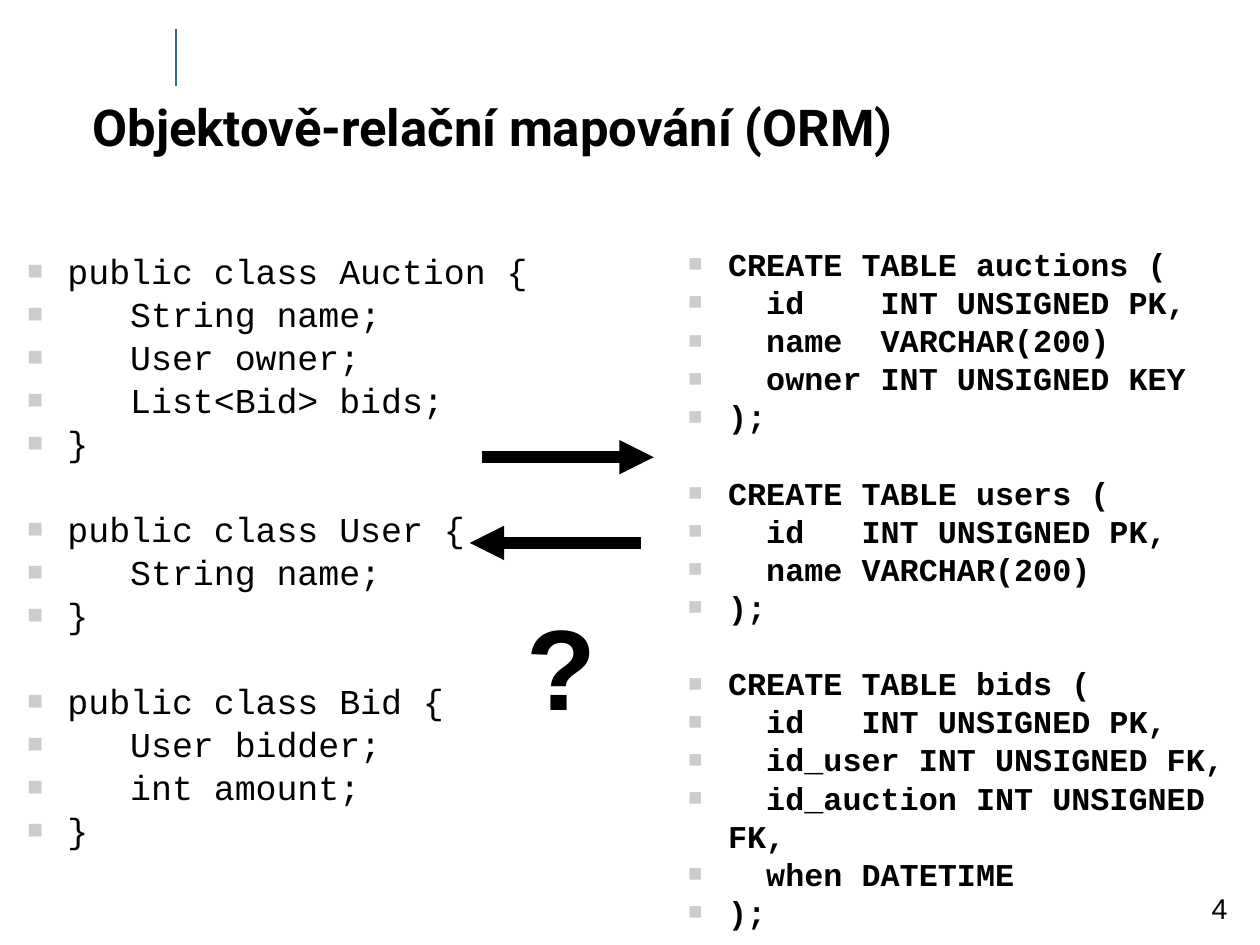
from lxml import etree
from pptx import Presentation
from pptx.dml.color import RGBColor
from pptx.enum.shapes import MSO_CONNECTOR
from pptx.enum.text import MSO_ANCHOR, MSO_AUTO_SIZE, PP_ALIGN
from pptx.oxml.ns import qn
from pptx.util import Cm, Inches, Pt

STRAIGHT = MSO_CONNECTOR.STRAIGHT
TOP, MIDDLE = MSO_ANCHOR.TOP, MSO_ANCHOR.MIDDLE
LEFT, CENTER = PP_ALIGN.LEFT, PP_ALIGN.CENTER
NO_AUTOFIT = MSO_AUTO_SIZE.NONE
COLORS = {"text": "000000", "bullet": "CCCCCC", "accent": "3465A4"}
CELL = Inches(0.25)  # side of one square of the slide grid
LINE_HEIGHT = 1.2

JAVA_CLASSES = [
    ["public class Auction {", "   String name;", "   User owner;",
     "   List<Bid> bids;", "}"],
    ["public class User {", "   String name;", "}"],
    ["public class Bid {", "   User bidder;", "   int amount;", "}"],
]
SQL_TABLES = [
    ["CREATE TABLE auctions (", "  id    INT UNSIGNED PK,",
     "  name  VARCHAR(200)", "  owner INT UNSIGNED KEY", ");"],
    ["CREATE TABLE users (", "  id   INT UNSIGNED PK,",
     "  name VARCHAR(200)", ");"],
    ["CREATE TABLE bids (", "  id   INT UNSIGNED PK,",
     "  id_user INT UNSIGNED FK,", "  id_auction INT UNSIGNED FK,",
     "  when DATETIME", ");"],
]


def grid(*cells):
    """Turn grid columns and rows into slide lengths."""
    return [round(cell * CELL) for cell in cells]


def write(box, groups, size, font="Arial", bold=False, align=LEFT, anchor=TOP,
          inset=(0, 0), wrap=True, bullets=False, before=0):
    """Fill a box with groups of lines, set one line height apart."""
    frame = box.text_frame
    frame.auto_size, frame.word_wrap = NO_AUTOFIT, wrap
    frame.vertical_anchor = anchor
    frame.margin_left = frame.margin_right = Inches(inset[0])
    frame.margin_top = frame.margin_bottom = Inches(inset[1])
    paragraph = None
    for group_index, group in enumerate(groups):
        for line_index, line in enumerate(group):
            paragraph = frame.add_paragraph() if paragraph else frame.paragraphs[0]
            paragraph.alignment = align
            run = paragraph.add_run()
            run.text = line
            run.font.name, run.font.size, run.font.bold = font, Pt(size), bold
            run.font.color.rgb = RGBColor.from_string(COLORS["text"])
            if not bullets:
                continue
            paragraph.line_spacing = Pt(size * LINE_HEIGHT)
            starts_group = group_index > 0 and line_index == 0
            gap = size * LINE_HEIGHT + before if starts_group else 0
            paragraph.space_before = Pt(before + gap)
            properties = paragraph._p.get_or_add_pPr()
            properties.set("marL", str(Inches(0.37)))
            properties.set("indent", str(Inches(-0.35)))
            bullet_color = etree.SubElement(properties, qn("a:buClr"))
            etree.SubElement(bullet_color, qn("a:srgbClr"), val=COLORS["bullet"])
            etree.SubElement(properties, qn("a:buSzPct"), val="75000")
            etree.SubElement(properties, qn("a:buChar"), char="■")


presentation = Presentation()
presentation.slide_width, presentation.slide_height = Cm(28), Cm(21)
slide = presentation.slides.add_slide(presentation.slide_layouts[3])
title, java_code, sql_code = slide.placeholders

# Title and the two code columns
for part, place in [
    (title, (3.24, 1.84, 37.64, 5.12)),
    (java_code, (0.88, 8.72, 18.56, 20.44)),
    (sql_code, (24, 8.56, 20.08, 22.68)),
]:
    part.left, part.top, part.width, part.height = grid(*place)
write(title, [["Objektově-relační mapování (ORM)"]], 32, font="Roboto",
      bold=True, anchor=MIDDLE)
write(java_code, JAVA_CLASSES, 22, font="Courier New", bullets=True, before=0.7)
write(sql_code, SQL_TABLES, 20, font="Courier New", bold=True, bullets=True)

# Question mark and page number
question = slide.shapes.add_textbox(*grid(18.04, 20.68, 3.24, 4.88))
write(question, [["?"]], 72, bold=True, inset=(0.1, 0.05), wrap=False)
page_number = slide.shapes.add_textbox(*grid(41.28, 31, 2.8, 1.48))
write(page_number, [["4"]], 18, align=CENTER, inset=(0.1, 0.05))

# Accent line, then the arrows of the mapping in both directions
for ends, color, width, has_head in [
    ((6.16, 3, 6.16, 1), "accent", 1.45, False),
    ((16.88, 16, 22.88, 16), "text", 7.2, True),
    ((22.44, 19, 16.44, 19), "text", 7.2, True),
]:
    connector = slide.shapes.add_connector(STRAIGHT, *grid(*ends))
    connector.line.color.rgb = RGBColor.from_string(COLORS[color])
    connector.line.width = Pt(width)
    if has_head:
        outline = connector.line._get_or_add_ln()
        etree.SubElement(outline, qn("a:tailEnd"), type="triangle")
    etree.SubElement(connector._element.spPr, qn("a:effectLst"))

presentation.save("out.pptx")
